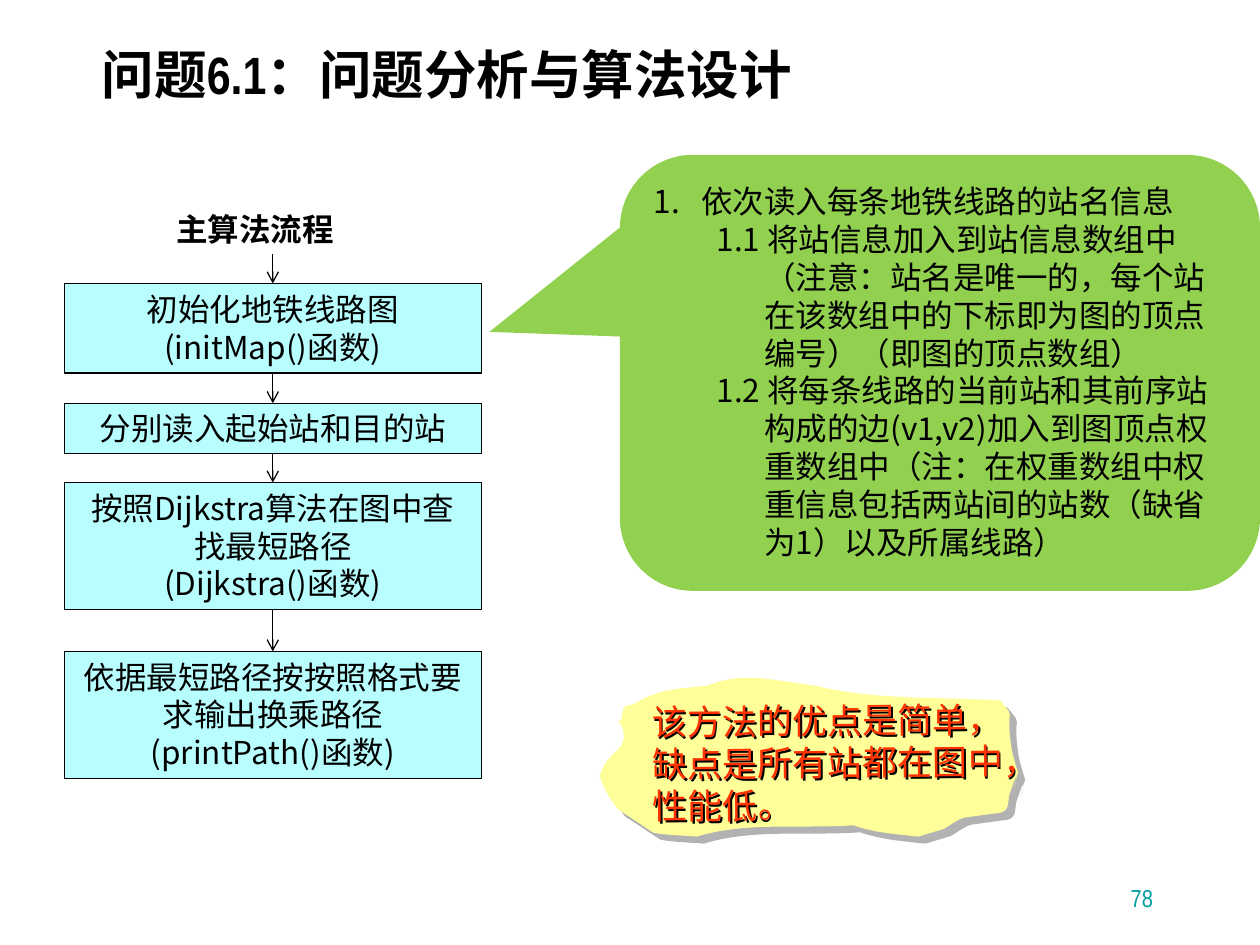
from dataclasses import dataclass
from typing import Optional

from lxml import etree
from pptx import Presentation
from pptx.dml.color import RGBColor
from pptx.enum.shapes import MSO_CONNECTOR, MSO_SHAPE
from pptx.enum.text import MSO_ANCHOR, PP_ALIGN
from pptx.oxml.ns import qn
from pptx.util import Inches, Pt

LEFT, CENTER, RIGHT = PP_ALIGN.LEFT, PP_ALIGN.CENTER, PP_ALIGN.RIGHT
TOP, MIDDLE, BOTTOM = MSO_ANCHOR.TOP, MSO_ANCHOR.MIDDLE, MSO_ANCHOR.BOTTOM
RECTANGLE = MSO_SHAPE.RECTANGLE
CALLOUT = MSO_SHAPE.ROUNDED_RECTANGULAR_CALLOUT
STRAIGHT = MSO_CONNECTOR.STRAIGHT

CJK = "Noto Sans CJK SC"
NARROW = "Arial Narrow"
BLACK = "000000"


@dataclass
class Style:
    size: float = 18
    font: str = CJK
    color: str = BLACK
    bold: bool = False
    align: PP_ALIGN = LEFT
    anchor: MSO_ANCHOR = TOP


@dataclass
class Label:
    left: float
    top: float
    width: float
    height: float
    text: str
    style: Style


@dataclass
class Step:
    top: float
    height: float
    text: str


LABELS = [
    Label(0.71, 0.17, 8.96, 0.92, "问题6.1：问题分析与算法设计",
          Style(30, NARROW, bold=True, anchor=MIDDLE)),
    Label(7.36, 6.81, 1.89, 0.48, "78",
          Style(14, NARROW, "009EA1", align=RIGHT, anchor=BOTTOM)),
    Label(1.3, 1.62, 1.46, 0.4, "主算法流程", Style(bold=True)),
]
STEP_LEFT, STEP_WIDTH = 0.51, 3.31
FLOW_START = 2.02
STEPS = [
    Step(2.25, 0.71, "初始化地铁线路图\n(initMap()函数)"),
    Step(3.2, 0.4, "分别读入起始站和目的站"),
    Step(3.83, 1.01, "按照Dijkstra算法在图中查找最短路径\n(Dijkstra()函数)"),
    Step(5.17, 1.01, "依据最短路径按按照格式要求输出换乘路径\n(printPath()函数)"),
]
DETAILS = "\n".join([
    "依次读入每条地铁线路的站名信息",
    "1.1 将站信息加入到站信息数组中（注意：站名是唯一的，每个站在该数组中的下标即为图的顶点编号）"
    "（即图的顶点数组）",
    "1.2 将每条线路的当前站和其前序站构成的边(v1,v2)加入到图顶点权重数组中"
    "（注：在权重数组中权重信息包括两站间的站数（缺省为1）以及所属线路）",
])
NOTE = Label(5.08, 5.5, 3, 1.32, "该方法的优点是简单，缺点是所有站都在图中，性能低。",
             Style(20, NARROW, "FF3300"))
SCRAP_START = (4.93, 5.71)
SCRAP_CURVES = [
    (4.94, 5.68, 4.94, 5.64, 4.95, 5.62), (4.97, 5.59, 5, 5.6, 5.03, 5.59),
    (5.23, 5.46, 5.39, 5.47, 5.62, 5.44), (5.91, 5.32, 6.17, 5.41, 6.46, 5.44),
    (6.94, 5.56, 7.45, 5.53, 7.94, 5.56), (8.08, 5.74, 7.97, 5.56, 8.03, 5.95),
    (8.04, 6.01, 8.08, 6.13, 8.08, 6.13), (7.98, 6.51, 8.15, 5.9, 8.01, 6.31),
    (8, 6.35, 8.01, 6.4, 7.98, 6.43), (7.95, 6.46, 7.91, 6.45, 7.87, 6.46),
    (7.79, 6.47, 7.72, 6.48, 7.65, 6.49), (7.59, 6.51, 7.54, 6.55, 7.49, 6.58),
    (7.42, 6.6, 7.29, 6.64, 7.29, 6.64), (7.1, 6.62, 6.95, 6.61, 6.77, 6.55),
    (6.36, 6.58, 5.92, 6.52, 5.53, 6.64), (5.42, 6.63, 5.3, 6.63, 5.19, 6.61),
    (5.18, 6.61, 4.94, 6.44, 4.91, 6.43), (4.84, 6.34, 4.8, 6.28, 4.76, 6.16),
    (4.8, 6.03, 4.85, 6.01, 4.93, 5.92), (4.94, 5.89, 4.96, 5.86, 4.95, 5.83),
    (4.94, 5.68, 4.87, 5.78, 4.93, 5.71),
]


def rgb(color: str) -> RGBColor:
    return RGBColor.from_string(color)


def write(shape, text: str, style: Style) -> None:
    frame = shape.text_frame
    frame.word_wrap = True
    frame.vertical_anchor = style.anchor
    frame.text = text
    for para in frame.paragraphs:
        para.alignment = style.align
        for span in para.runs:
            span.font.size = Pt(style.size)
            span.font.name = style.font
            span.font.bold = style.bold
            span.font.color.rgb = rgb(style.color)
            east_asian = etree.Element(qn("a:ea"), typeface=CJK)
            span.font._element.find(qn("a:latin")).addnext(east_asian)


def add_label(page, label: Label):
    box = page.shapes.add_textbox(Inches(label.left), Inches(label.top),
                                  Inches(label.width), Inches(label.height))
    write(box, label.text, label.style)
    return box


def paint(shape, fill: str, line: Optional[str] = None) -> None:
    shape.shadow.inherit = False
    shape.fill.solid()
    shape.fill.fore_color.rgb = rgb(fill)
    if line:
        shape.line.color.rgb = rgb(line)
        shape.line.width = Pt(0.75)
    else:
        shape.line.fill.background()


def add_step(page, step: Step) -> None:
    box = page.shapes.add_shape(RECTANGLE, Inches(STEP_LEFT), Inches(step.top),
                                Inches(STEP_WIDTH), Inches(step.height))
    paint(box, "B9FEFF", BLACK)
    write(box, step.text, Style(align=CENTER))


def add_arrow(page, start: float, end: float) -> None:
    middle = Inches(STEP_LEFT + STEP_WIDTH / 2)
    arrow = page.shapes.add_connector(STRAIGHT, middle, Inches(start), middle, Inches(end))
    arrow.line.color.rgb = rgb(BLACK)
    arrow.line.width = Pt(0.75)
    etree.SubElement(arrow.line._get_or_add_ln(), qn("a:tailEnd"), type="arrow")
    etree.SubElement(arrow._element.spPr, qn("a:effectLst"))


def add_callout(page) -> None:
    box = page.shapes.add_shape(CALLOUT, Inches(4.92), Inches(1.23), Inches(5.08), Inches(3.46))
    for index, value in enumerate((-0.704, -0.094, 0.167)):
        box.adjustments[index] = value
    paint(box, "92D050")
    write(box, DETAILS, Style())
    for index, para in enumerate(box.text_frame.paragraphs):
        para.level = min(index, 1)
        properties = para._p.get_or_add_pPr()
        properties.set("marL", str(Inches(0.88 if index else 0.38)))
        properties.set("indent", str(Inches(-0.38)))
        if index == 0:
            etree.SubElement(properties, qn("a:buAutoNum"), type="arabicPeriod")


def add_shadow(shape, color: str, distance: float) -> None:
    shape.shadow.inherit = False
    effects = shape._element.spPr.find(qn("a:effectLst"))
    shadow = etree.SubElement(effects, qn("a:outerShdw"), dist=str(Pt(distance)),
                              dir="2700000", algn="ctr", rotWithShape="0")
    etree.SubElement(shadow, qn("a:srgbClr"), val=color)


def bend_sides(shape, curves: list[tuple]) -> None:
    sides = list(shape._element.iter(qn("a:lnTo")))
    for side, curve in zip(sides, curves):
        bend = etree.Element(qn("a:cubicBezTo"))
        for x, y in zip(curve[::2], curve[1::2]):
            etree.SubElement(bend, qn("a:pt"), x=str(Inches(x) - shape.left),
                             y=str(Inches(y) - shape.top))
        side.getparent().replace(side, bend)


def add_note(page) -> None:
    builder = page.shapes.build_freeform(*map(Inches, SCRAP_START))
    builder.add_line_segments([tuple(map(Inches, curve[4:])) for curve in SCRAP_CURVES])
    scrap = builder.convert_to_shape()
    bend_sides(scrap, SCRAP_CURVES)
    paint(scrap, "FFFF99")
    add_shadow(scrap, "B2B2B2", 5.7)

    box = add_label(page, NOTE)
    box.rotation = 359.5
    add_shadow(box, BLACK, 1.5)


def main() -> None:
    deck = Presentation()
    deck.slide_width, deck.slide_height = Inches(10), Inches(7.5)
    page = deck.slides.add_slide(deck.slide_layouts[6])
    title, *_ = [add_label(page, label) for label in LABELS]
    title.text_frame.paragraphs[0].line_spacing = 0.8
    previous = FLOW_START
    for step in STEPS:
        add_step(page, step)
        add_arrow(page, previous, step.top)
        previous = step.top + step.height
    add_callout(page)
    add_note(page)
    deck.save("out.pptx")


if __name__ == "__main__":
    main()
